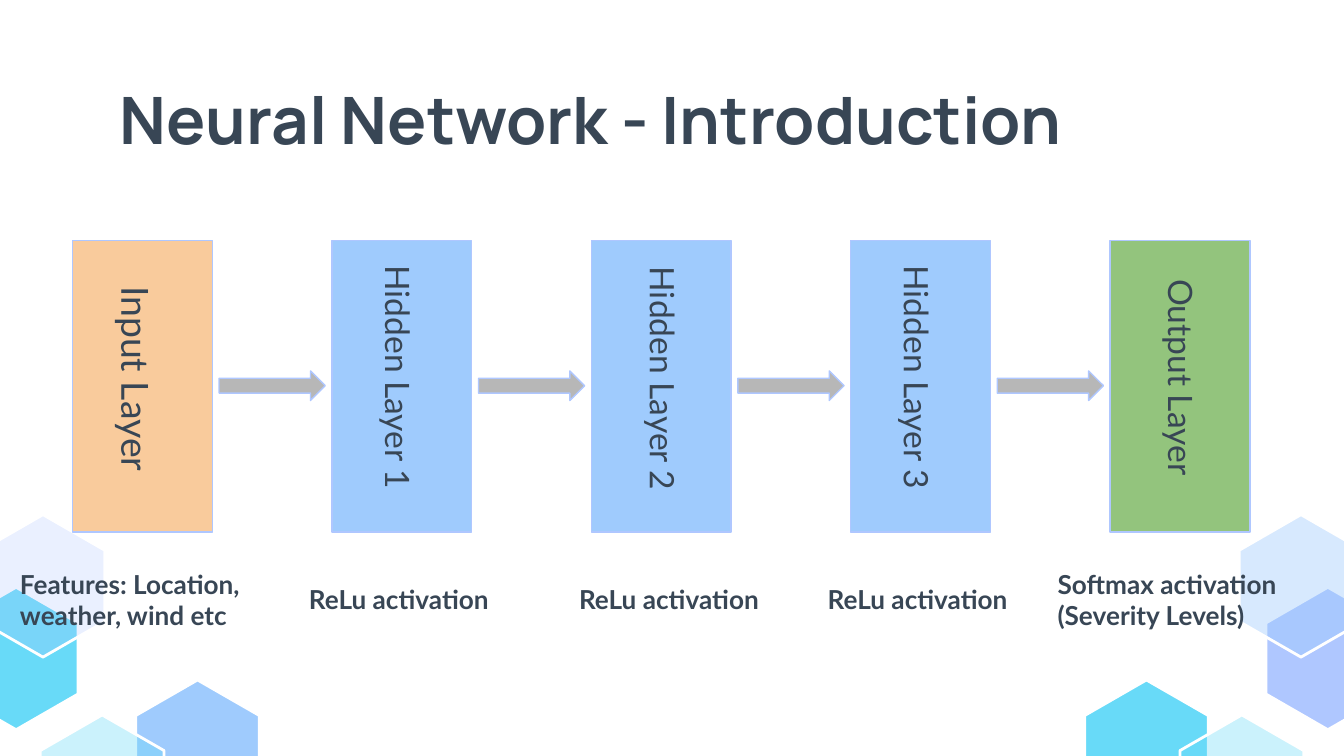
from lxml import etree
from pptx import Presentation
from pptx import util as u
from pptx.dml.color import RGBColor
from pptx.enum import shapes, text
from pptx.oxml.ns import qn

INK = "384655"
EDGE = "AFC7FF"
SLIDE_WIDTH = 10
SLIDE_HEIGHT = SLIDE_WIDTH * 9 / 16
LAYER_LEFT, LAYER_STEP = 0.54, 1.93
HEX_WIDTH, HEX_HEIGHT = 0.92, 1.06

HEXAGONS = [
    (1.01, 5.06, ("9FCBFD", 100), ("68DAF8", 100)),
    (0.3, 5.32, ("68DAF8", 34), ("68DAF8", 34)),
    (-0.34, 4.37, ("68DAF8", 100), ("AFC7FF", 100)),
    (-0.14, 3.83, ("AFC7FF", 25), ("9FCBFD", 41)),
]
LAYERS = [
    ("Input Layer", "F9CB9C", 20, (0.17, 2.69, 1.77, 0.45)),
    ("Hidden Layer 1", "9FCBFD", 18, (2.05, 2.59, 1.88, 0.45)),
    ("Hidden Layer 2", "9FCBFD", 18, (3.97, 2.65, 1.98, 0.45)),
    ("Hidden Layer 3", "9FCBFD", 18, (5.88, 2.62, 1.94, 0.45)),
    ("Output Layer", "93C47D", 18, (7.93, 2.64, 1.77, 0.45)),
]
CAPTIONS = [
    ("Features: Location, weather, wind etc", (0.05, 4.13, 2.02, 0.63)),
    ("ReLu activation", (2.2, 4.24, 1.68, 0.41)),
    ("ReLu activation", (4.21, 4.24, 1.68, 0.41)),
    ("ReLu activation", (6.06, 4.24, 1.68, 0.41)),
    ("Softmax activation (Severity Levels)", (7.77, 4.13, 2.02, 0.63)),
]


def color(value):
    return RGBColor.from_string(value)


def set_all(target, values):
    for name, value in values.items():
        setattr(target, name, value)


def paint(shape, fill, line, width, opacity=100):
    shape.shadow.inherit = False
    shape.fill.solid()
    shape.fill.fore_color.rgb = color(fill)
    shape.line.color.rgb = color(line)
    shape.line.width = u.Pt(width)
    if opacity < 100:
        tint = shape.fill._xPr.find(qn("a:solidFill"))[0]
        etree.SubElement(tint, qn("a:alpha"), val=str(opacity * 1000))


def add_hexagon(page, left, top, fill, opacity):
    middle, right = left + HEX_WIDTH / 2, left + HEX_WIDTH
    upper, lower = top + HEX_HEIGHT / 4, top + HEX_HEIGHT * 3 / 4
    corners = [(middle, top), (right, upper), (right, lower),
               (middle, top + HEX_HEIGHT), (left, lower), (left, upper)]
    points = [(u.Inches(x), u.Inches(y)) for x, y in corners]
    builder = page.shapes.build_freeform(*points[0])
    builder.add_line_segments(points[1:], close=True)
    paint(builder.convert_to_shape(), fill, "FFFFFF", 1.5, opacity)


def add_block(page, kind, place, fill):
    shape = page.shapes.add_shape(kind, *map(u.Inches, place))
    paint(shape, fill, EDGE, 0.75)


def add_text(page, words, place, size, font="Lato", bold=False, rotation=0):
    box = page.shapes.add_textbox(*map(u.Inches, place))
    box.rotation = rotation
    frame = box.text_frame
    margins = ("margin_left", "margin_top", "margin_right", "margin_bottom")
    set_all(frame, dict.fromkeys(margins, u.Inches(0.1)))
    set_all(frame, {"word_wrap": True, "vertical_anchor": text.MSO_ANCHOR.TOP})
    span = frame.paragraphs[0].add_run()
    span.text = words
    set_all(span.font, {"name": font, "size": u.Pt(size), "bold": bold})
    span.font.color.rgb = color(INK)


def main():
    deck = Presentation()
    set_all(deck, {"slide_width": u.Inches(SLIDE_WIDTH),
                   "slide_height": u.Inches(SLIDE_HEIGHT)})
    page = deck.slides.add_slide(deck.slide_layouts[6])

    for left, top, left_fill, right_fill in HEXAGONS:
        add_hexagon(page, left, top, *left_fill)
        add_hexagon(page, SLIDE_WIDTH - left - HEX_WIDTH, top, *right_fill)

    add_text(page, "Neural Network - Introduction", (0.79, 0.49, 8.43, 0.63),
             35, font="Manrope", bold=True)

    for index, (name, fill, size, place) in enumerate(LAYERS):
        left = LAYER_LEFT + index * LAYER_STEP
        add_block(page, shapes.MSO_SHAPE.RECTANGLE,
                  (left, 1.79, 1.04, 2.17), fill)
        add_text(page, name, place, size, rotation=90)
        if index < len(LAYERS) - 1:
            add_block(page, shapes.MSO_SHAPE.RIGHT_ARROW,
                      (left + 1.09, 2.76, 0.79, 0.22), "B7B7B7")

    for words, place in CAPTIONS:
        add_text(page, words, place, 14, bold=True)

    deck.save("out.pptx")


if __name__ == "__main__":
    main()
